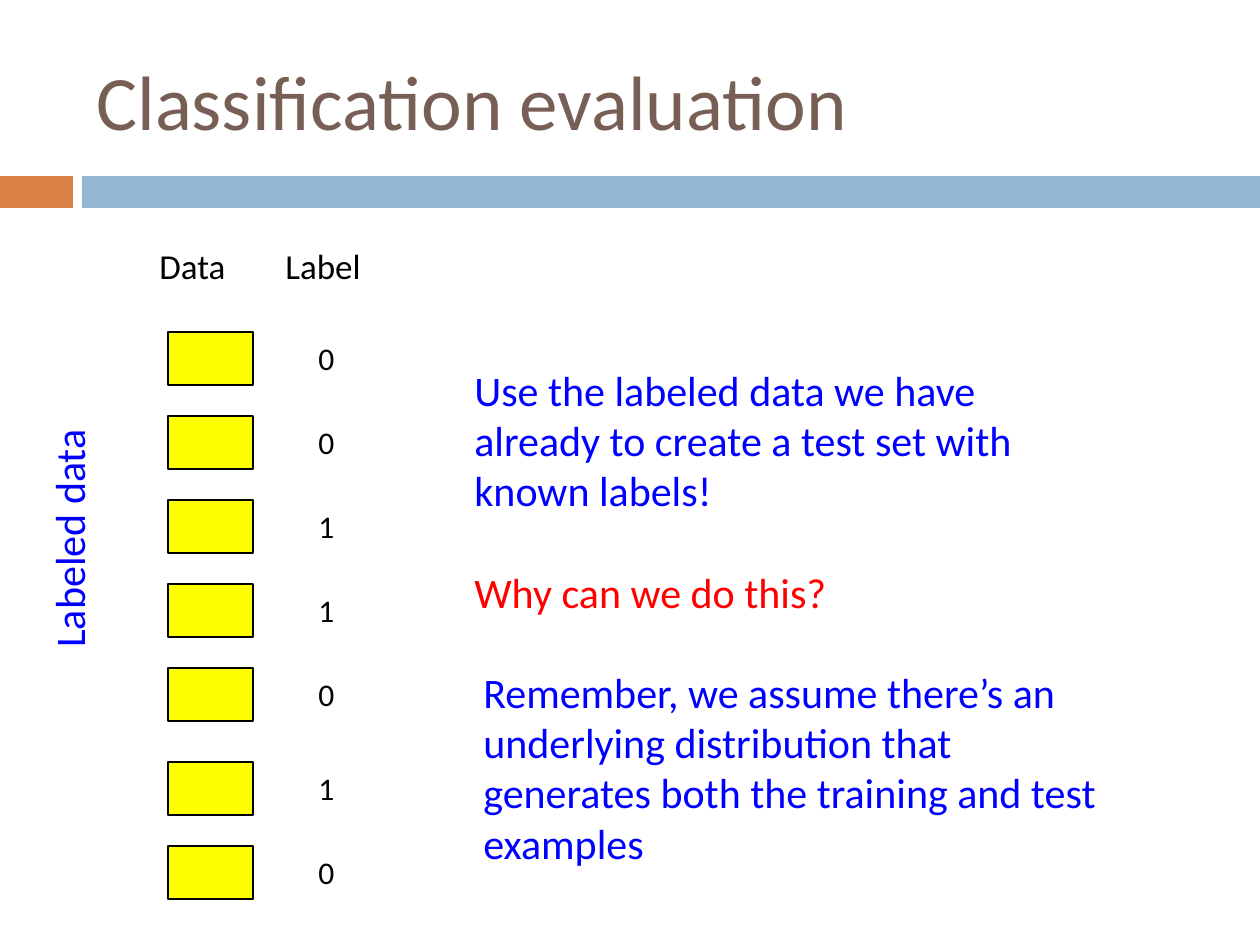
from pptx import Presentation
from pptx.dml.color import RGBColor
from pptx.enum.shapes import MSO_SHAPE as Shape
from pptx.enum.text import MSO_ANCHOR as Anchor
from pptx.util import Emu, Pt

THEME = {
    "font": "Calibri",
    "title": "775F55", "accent": "DD8047", "band": "94B6D2",
    "example": "FFFF00", "ink": "000000", "note": "0000FF", "question": "FF0000",
    "title_size": 44, "heading_size": 20, "label_size": 18, "note_size": 24,
}
EMU_PER_PX = 914400 / 126


def box(*px):
    return [Emu(round(n * EMU_PER_PX)) for n in px]


def add_text(*paragraphs, at, size, colors=("ink",), anchor=Anchor.TOP, rotation=0, gap=0):
    holder = slide.shapes.add_textbox(*box(*at))
    holder.rotation = rotation
    frame = holder.text_frame
    frame.word_wrap = True
    frame.vertical_anchor = anchor
    for i, (words, color) in enumerate(zip(paragraphs, colors)):
        paragraph = frame.paragraphs[0] if i == 0 else frame.add_paragraph()
        paragraph.space_before = Pt(gap if i else 0)
        run = paragraph.add_run()
        run.text = words
        run.font.name = THEME["font"]
        run.font.size = Pt(THEME[size])
        run.font.color.rgb = RGBColor.from_string(THEME[color])


deck = Presentation()
deck.slide_width, deck.slide_height = box(1260, 945)
slide = deck.slides.add_slide(deck.slide_layouts[6])

# Title and the two-colour band under it
add_text("Classification evaluation", at=(84, 32, 1124, 136), size="title_size",
         colors=("title",), anchor=Anchor.MIDDLE)
for left, width, color in ((0, 73, "accent"), (82, 1178, "band")):
    band = slide.shapes.add_shape(Shape.RECTANGLE, *box(left, 176, width, 32))
    band.shadow.inherit = False
    band.fill.solid()
    band.fill.fore_color.rgb = RGBColor.from_string(THEME[color])
    band.line.fill.background()

# Column headings
add_text("Data", at=(147, 238, 100, 55), size="heading_size")
add_text("Label", at=(273, 238, 112, 55), size="heading_size")

# Labeled examples: five rows, then two more after a slightly wider gap
for row, label in enumerate("0011010"):
    top = 332 + 84 * row + (10 if row >= 5 else 0)
    example = slide.shapes.add_shape(Shape.RECTANGLE, *box(168, top, 85, 53))
    example.shadow.inherit = False
    example.fill.solid()
    example.fill.fore_color.rgb = RGBColor.from_string(THEME["example"])
    example.line.color.rgb = RGBColor.from_string(THEME["ink"])
    example.line.width = Pt(0.75)
    add_text(label, at=(306, top + 1, 43, 50), size="label_size")

# Side caption, reading upwards
add_text("Labeled data", at=(-67, 493, 271, 63), size="note_size",
         colors=("note",), rotation=270)

# Explanation
add_text("Use the labeled data we have already to create a test set with known labels!",
         "Why can we do this?",
         at=(462, 358, 622, 267), size="note_size", colors=("note", "question"), gap=29)
add_text("Remember, we assume there’s an underlying distribution that generates "
         "both the training and test examples",
         at=(471, 660, 658, 165), size="note_size", colors=("note",))

deck.save("out.pptx")
